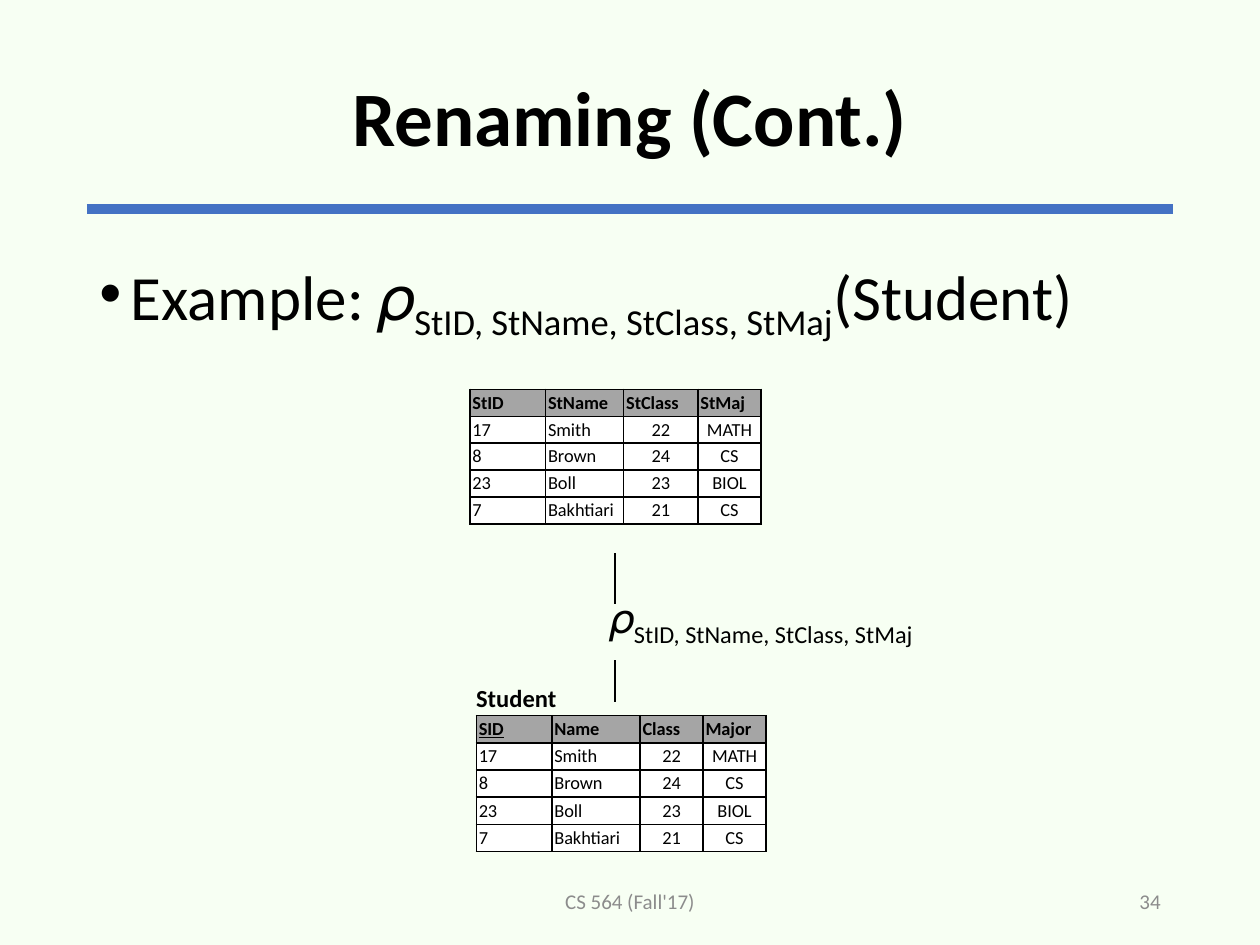
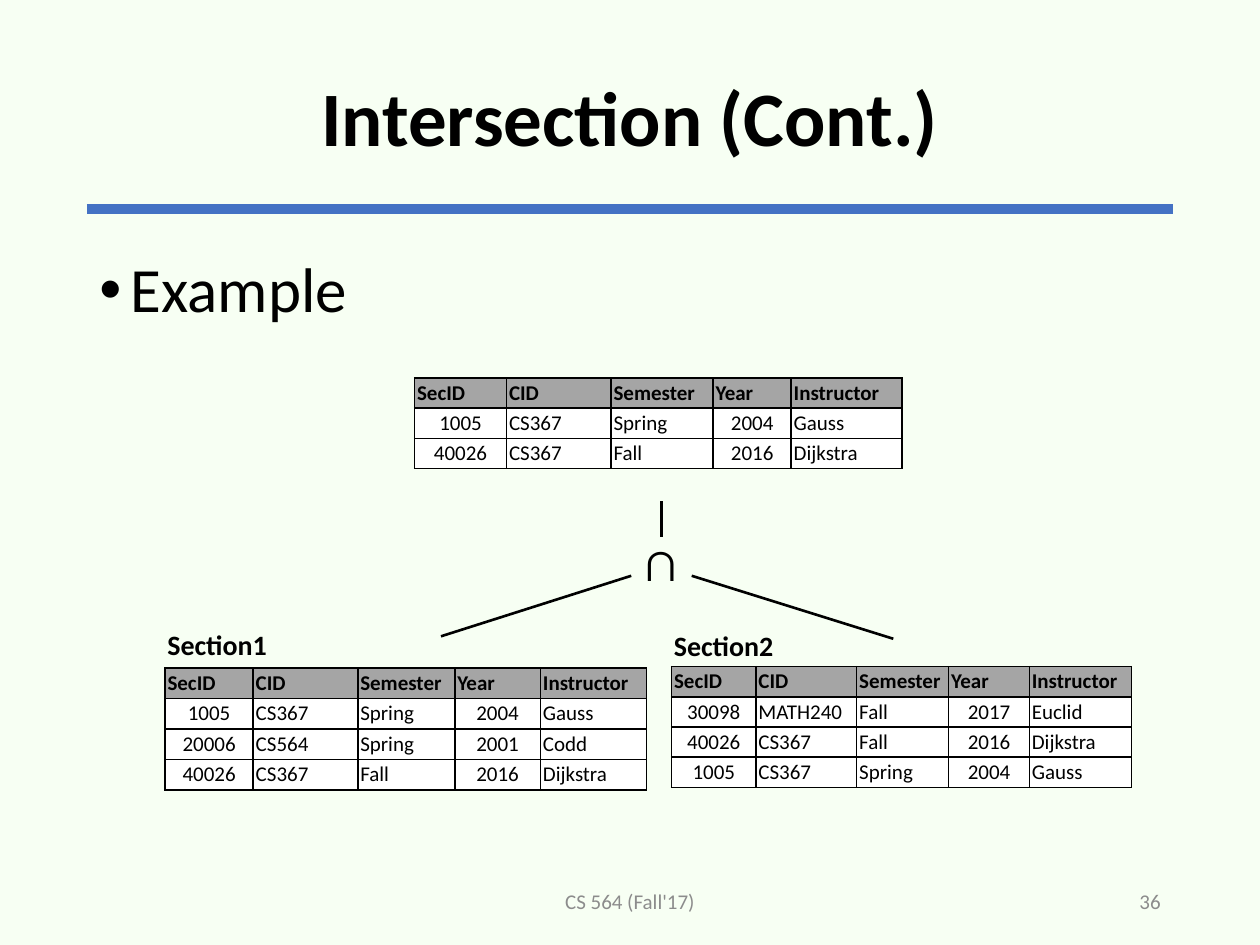
from dataclasses import dataclass

from lxml import etree
from pptx import Presentation
from pptx.dml.color import RGBColor
from pptx.enum.shapes import MSO_CONNECTOR
from pptx.enum.text import MSO_ANCHOR, PP_ALIGN
from pptx.oxml.ns import qn
from pptx.util import Inches, Pt

LEFT, CENTER, RIGHT = PP_ALIGN.LEFT, PP_ALIGN.CENTER, PP_ALIGN.RIGHT
TOP, MIDDLE = MSO_ANCHOR.TOP, MSO_ANCHOR.MIDDLE
STRAIGHT = MSO_CONNECTOR.STRAIGHT


@dataclass(frozen=True)
class Theme:
    font: str = "Calibri"
    bullet_font: str = "Arial"
    background: str = "F7FFF3"
    ink: str = "000000"
    muted: str = "8C8C8C"
    rule: str = "4472C4"
    header: str = "A5A5A5"
    cell: str = "FFFFFF"
    title_size: float = 44
    body_size: float = 36
    footer_size: float = 12
    rule_width: float = 6
    branch_width: float = 1.5
    border_width: float = 1


THEME = Theme()
FOOTER = "CS 564 (Fall'17)"
NEW_NAMES = "StID, StName, StClass, StMaj"
SECTION_HEADER = ("SecID", "CID", "Semester", "Year", "Instructor")
STUDENTS = [
    ("17", "Smith", "22", "MATH"),
    ("8", "Brown", "24", "CS"),
    ("23", "Boll", "23", "BIOL"),
    ("7", "Bakhtiari", "21", "CS"),
]
GAUSS = ("1005", "CS367", "Spring", "2004", "Gauss")
DIJKSTRA = ("40026", "CS367", "Fall", "2016", "Dijkstra")
CODD = ("20006", "CS564", "Spring", "2001", "Codd")
EUCLID = ("30098", "MATH240", "Fall", "2017", "Euclid")

STUDENT_STYLE = {"size": 10.5, "centered": (2, 3)}
SECTION_STYLE = {"size": 12, "centered": (0, 3)}

SLIDES = [
    {
        "title": "Renaming (Cont.)",
        "number": "34",
        "body": [("Example: 𝜌", 0), (NEW_NAMES, -25), ("(Student)", 0)],
        "operator": {"parts": [("𝜌", 0), (NEW_NAMES, -25)], "size": 24,
                     "at": (4.84, 4.69, 2.5, 0.46), "align": LEFT},
        "branches": [(4.88, 4.39, 4.88, 4.79), (4.88, 5.24, 4.88, 5.57)],
        "labels": [("Student", 14, (3.68, 5.37, 0.88, 0.34))],
        "tables": [
            {"at": (3.78, 5.68), "height": 1.08, "widths": (0.6, 0.7, 0.5, 0.5),
             "rows": [("SID", "Name", "Class", "Major"), *STUDENTS],
             "key": "SID", **STUDENT_STYLE},
            {"at": (3.73, 3.09), "height": 1.07, "widths": (0.6, 0.62, 0.59, 0.5),
             "rows": [NEW_NAMES.split(", "), *STUDENTS], **STUDENT_STYLE},
        ],
    },
    {
        "title": "Intersection (Cont.)",
        "number": "36",
        "body": [("Example", 0)],
        "operator": {"parts": [("∩", 0)], "size": 32,
                     "at": (4.91, 4.26, 0.68, 0.36), "align": CENTER},
        "branches": [(5.25, 3.98, 5.25, 4.26), (5.01, 4.57, 3.5, 5.05),
                     (5.49, 4.57, 7.09, 5.07)],
        "labels": [("Section1", 16, (1.23, 4.93, 1.06, 0.37)),
                   ("Section2", 16, (5.25, 4.94, 1.06, 0.37))],
        "tables": [
            {"at": (1.31, 5.3), "height": 0.97,
             "widths": (0.7, 0.83, 0.77, 0.68, 0.84),
             "rows": [SECTION_HEADER, GAUSS, CODD, DIJKSTRA], **SECTION_STYLE},
            {"at": (5.33, 5.29), "height": 0.96,
             "widths": (0.67, 0.8, 0.73, 0.64, 0.81),
             "rows": [SECTION_HEADER, EUCLID, DIJKSTRA, GAUSS], **SECTION_STYLE},
            {"at": (3.29, 3), "height": 0.72,
             "widths": (0.73, 0.83, 0.81, 0.62, 0.88),
             "rows": [SECTION_HEADER, GAUSS, DIJKSTRA], **SECTION_STYLE},
        ],
    },
]


def color(value):
    return RGBColor.from_string(value)


def style(span, size, ink=THEME.ink, bold=False):
    span.font.name = THEME.font
    span.font.size = Pt(size)
    span.font.bold = bold
    span.font.color.rgb = color(ink)


def add_text(page, at, parts, size, align=LEFT, anchor=TOP, wrap=True,
             ink=THEME.ink, bold=False):
    box = page.shapes.add_textbox(*map(Inches, at))
    frame = box.text_frame
    frame.word_wrap = wrap
    frame.vertical_anchor = anchor
    para = frame.paragraphs[0]
    para.alignment = align
    for text, baseline in parts:
        span = para.add_run()
        span.text = text
        style(span, size, ink, bold)
        if baseline:
            span.font._element.set("baseline", str(baseline * 1000))
    return box


def add_bullet(para):
    properties = para._p.get_or_add_pPr()
    properties.set("marL", str(Inches(0.25)))
    properties.set("indent", str(-Inches(0.25)))
    etree.SubElement(properties, qn("a:buFont")).set("typeface", THEME.bullet_font)
    etree.SubElement(properties, qn("a:buChar")).set("char", "•")


def add_line(page, ends, width, ink=THEME.ink):
    line = page.shapes.add_connector(STRAIGHT, *map(Inches, ends))
    line.line.color.rgb = color(ink)
    line.line.width = Pt(width)
    etree.SubElement(line._element.spPr, qn("a:effectLst"))


def add_borders(cell):
    properties = cell._tc.get_or_add_tcPr()
    for side in ("lnL", "lnR", "lnT", "lnB"):
        border = etree.SubElement(properties, qn(f"a:{side}"))
        border.set("w", str(Pt(THEME.border_width)))
        fill = etree.SubElement(border, qn("a:solidFill"))
        etree.SubElement(fill, qn("a:srgbClr")).set("val", THEME.ink)


def add_relation(page, relation):
    rows, widths = relation["rows"], relation["widths"]
    table = page.shapes.add_table(
        len(rows), len(widths), *map(Inches, relation["at"]),
        Inches(sum(widths)), Inches(relation["height"])).table
    table.first_row = table.horz_banding = False
    for column, width in zip(table.columns, widths):
        column.width = Inches(width)
    for r, row in enumerate(rows):
        for c, text in enumerate(row):
            cell = table.cell(r, c)
            cell.margin_left = cell.margin_right = Inches(0.02)
            cell.margin_top = cell.margin_bottom = Inches(0.01)
            cell.vertical_anchor = MIDDLE
            add_borders(cell)
            cell.fill.solid()
            cell.fill.fore_color.rgb = color(THEME.cell if r else THEME.header)
            cell.text_frame.text = text
            para = cell.text_frame.paragraphs[0]
            para.alignment = CENTER if r and c in relation["centered"] else LEFT
            span = para.runs[0]
            style(span, relation["size"], bold=r == 0)
            if text == relation.get("key"):
                span.font.underline = True


def add_frame(page, title, number):
    add_line(page, (0.69, 1.66, 9.31, 1.66), THEME.rule_width, THEME.rule)
    heading = add_text(page, (0.69, 0.24, 8.62, 1.45), [(title, 0)],
                       THEME.title_size, CENTER, MIDDLE, bold=True)
    heading.text_frame.paragraphs[0].line_spacing = 0.9
    for at, text, align in (((3.31, 6.95, 3.38, 0.4), FOOTER, CENTER),
                            ((7.06, 6.95, 2.25, 0.4), number, RIGHT)):
        add_text(page, at, [(text, 0)], THEME.footer_size, align, MIDDLE,
                 ink=THEME.muted)


def add_page(deck, content):
    page = deck.slides.add_slide(deck.slide_layouts[6])
    add_frame(page, content["title"], content["number"])
    body = add_text(page, (0.69, 2, 8.62, 4.76), content["body"], THEME.body_size)
    para = body.text_frame.paragraphs[0]
    para.line_spacing = 0.9
    add_bullet(para)
    for relation in content["tables"]:
        add_relation(page, relation)
    for text, size, at in content["labels"]:
        add_text(page, at, [(text, 0)], size, wrap=False, bold=True)
    operator = content["operator"]
    symbol = add_text(page, operator["at"], operator["parts"], operator["size"],
                      operator["align"], MIDDLE, wrap=False)
    symbol.text_frame.margin_left = symbol.text_frame.margin_right = 0
    for ends in content["branches"]:
        add_line(page, ends, THEME.branch_width)


def main():
    deck = Presentation()
    deck.slide_width, deck.slide_height = Inches(10), Inches(7.5)
    backdrop = deck.slide_master.background.fill
    backdrop.solid()
    backdrop.fore_color.rgb = color(THEME.background)
    for content in SLIDES:
        add_page(deck, content)
    deck.save("out.pptx")


if __name__ == "__main__":
    main()
